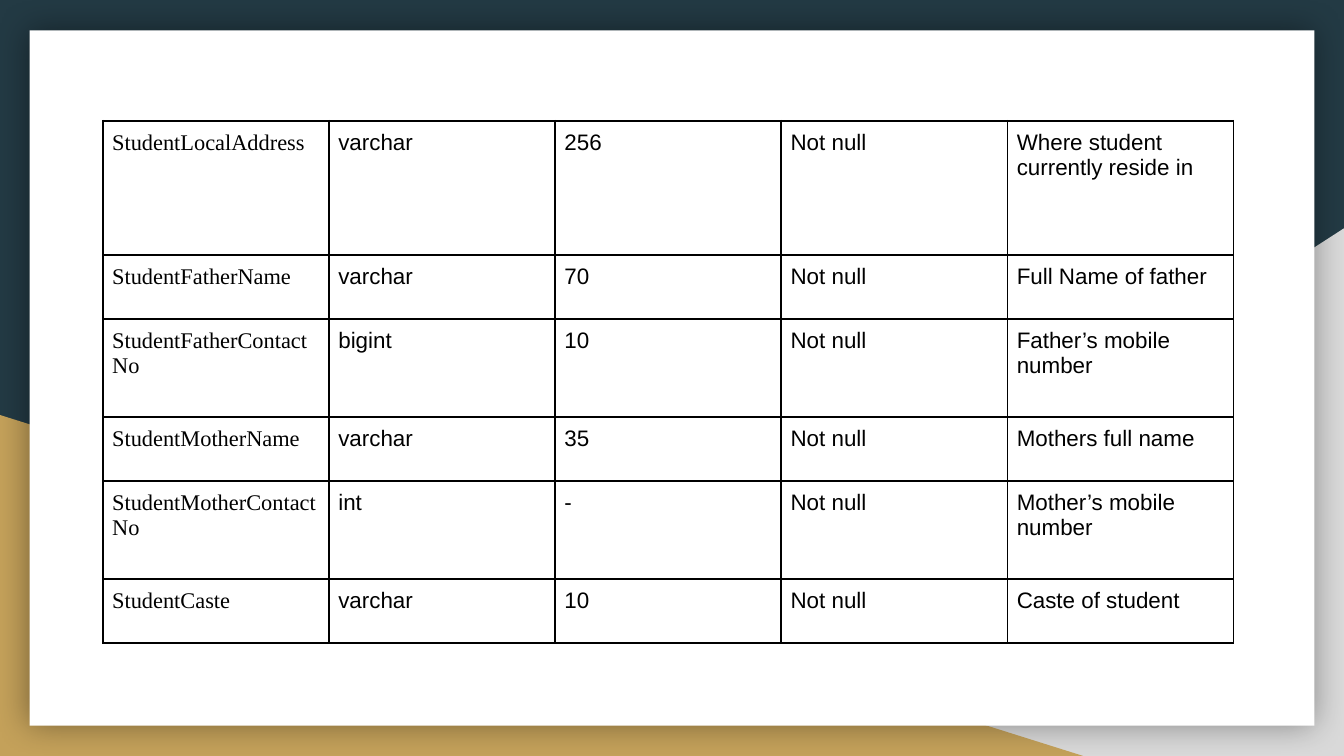
from lxml.etree import SubElement
from pptx import Presentation
from pptx.dml.color import RGBColor
from pptx.enum.shapes import MSO_SHAPE
from pptx.oxml import parse_xml
from pptx.oxml.ns import nsdecls, qn
from pptx.util import Inches, Pt

HUES = {"back": "233A44", "grey": "D9D9D9", "gold": "C4A15A",
        "card": "FFFFFF", "ink": "000000"}

deck = Presentation()
deck.slide_width = Inches(10)
deck.slide_height = deck.slide_width * 9 // 16
slide = deck.slides.add_slide(deck.slide_layouts[6])


def wide(share):
    """Length of a percentage of the slide's width."""
    return int(deck.slide_width * share / 100)


def high(share):
    """Length of a percentage of the slide's height."""
    return int(deck.slide_height * share / 100)


# Backdrop: two corner triangles under a white card
fill = slide.background.fill
fill.solid()
fill.fore_color.rgb = RGBColor.from_string(HUES["back"])

panels = {
    "grey": (MSO_SHAPE.RIGHT_TRIANGLE, 39.2, 30.2, 60.8, 69.8),
    "gold": (MSO_SHAPE.RIGHT_TRIANGLE, 0, 54.9, 80.6, 45.1),
    "card": (MSO_SHAPE.RECTANGLE, 2.2, 4, 95.6, 92),
}
shapes = {}
for name, (kind, x, y, w, h) in panels.items():
    shape = slide.shapes.add_shape(kind, wide(x), high(y), wide(w), high(h))
    shape.shadow.inherit = False
    shape.fill.solid()
    shape.fill.fore_color.rgb = RGBColor.from_string(HUES[name])
    shape.line.fill.background()
    shapes[name] = shape

shapes["grey"].element.spPr.find(qn("a:xfrm")).set("flipH", "1")
glow = shapes["card"].element.spPr.find(qn("a:effectLst"))
glow.append(parse_xml(
    f'<a:outerShdw {nsdecls("a")} blurRad="{Pt(18)}" dist="0" algn="ctr" rotWithShape="0">'
    f'<a:srgbClr val="{HUES["ink"]}"><a:alpha val="40000"/></a:srgbClr></a:outerShdw>'))

# Table of student fields: name, type, size, rule, meaning
rows = [
    ("StudentLocalAddress", "varchar", "256", "Not null", "Where student currently reside in"),
    ("StudentFatherName", "varchar", "70", "Not null", "Full Name of father"),
    ("StudentFatherContactNo", "bigint", "10", "Not null", "Father’s mobile number"),
    ("StudentMotherName", "varchar", "35", "Not null", "Mothers full name"),
    ("StudentMotherContactNo", "int", "-", "Not null", "Mother’s mobile number"),
    ("StudentCaste", "varchar", "10", "Not null", "Caste of student"),
]
short, mid, tall = 8.47, 12.97, 17.75
heights = [tall, short, mid, short, mid, short]
column = 16.83
pads = dict.fromkeys(
    ("margin_left", "margin_right", "margin_top", "margin_bottom"), Inches(0.07))

table = slide.shapes.add_table(
    len(rows), len(rows[0]), wide(7.65), high(15.97),
    wide(column * len(rows[0])), high(sum(heights))).table
table.first_row = table.horz_banding = False
for col in table.columns:
    col.width = wide(column)

for r, row in enumerate(rows):
    table.rows[r].height = high(heights[r])
    for c, text in enumerate(row):
        cell = table.cell(r, c)
        cell.text = text
        for key, value in pads.items():
            setattr(cell, key, value)
        font = cell.text_frame.paragraphs[0].runs[0].font
        face = {"name": "Arial" if c else "Times New Roman", "size": Pt(12)}
        for key, value in face.items():
            setattr(font, key, value)
        font.color.rgb = RGBColor.from_string(HUES["ink"])
        props = cell._tc.get_or_add_tcPr()
        for side in "LRTB":
            edge = SubElement(props, qn(f"a:ln{side}"), w=str(Pt(1)))
            paint = SubElement(edge, qn("a:solidFill"))
            SubElement(paint, qn("a:srgbClr"), val=HUES["ink"])
        cell.fill.background()

deck.save("out.pptx")
